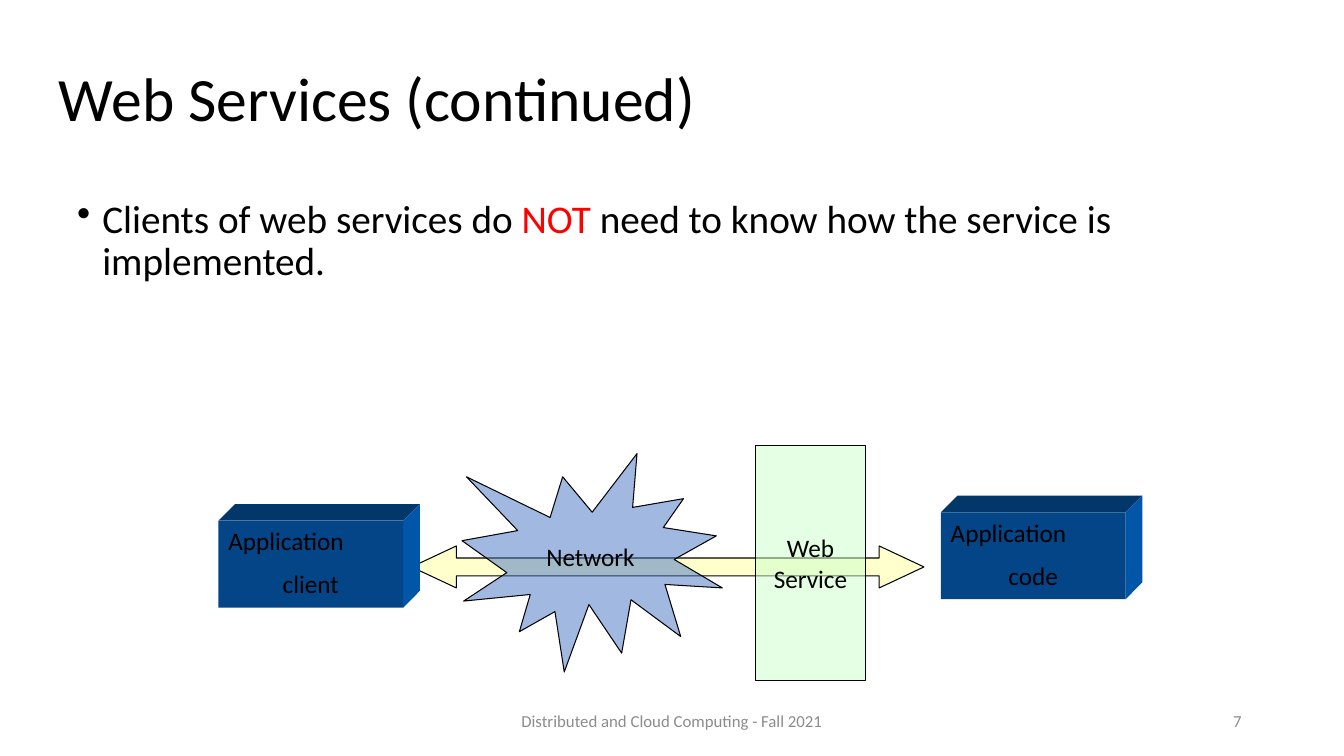
from lxml import etree
from pptx import Presentation
from pptx import util as u
from pptx.dml.color import RGBColor
from pptx.enum import shapes, text
from pptx.oxml.ns import qn

FONT = "Calibri"
BLACK = RGBColor(0x00, 0x00, 0x00)
RED = RGBColor(0xFF, 0x00, 0x00)
GREY = RGBColor(0x8C, 0x8C, 0x8C)
WHITE = RGBColor(0xFF, 0xFF, 0xFF)
CREAM = RGBColor(0xFF, 0xFF, 0xCC)
MINT = RGBColor(0xCC, 0xFF, 0xCC)
NETWORK_BLUE = RGBColor(0x44, 0x72, 0xC4)
FRONT_BLUE = RGBColor(0x04, 0x45, 0x87)
TOP_BLUE = RGBColor(0x03, 0x36, 0x69)
SIDE_BLUE = RGBColor(0x02, 0x56, 0xA8)

LEFT, CENTER, RIGHT = (text.PP_ALIGN.LEFT, text.PP_ALIGN.CENTER,
                       text.PP_ALIGN.RIGHT)
TOP, MIDDLE = text.MSO_ANCHOR.TOP, text.MSO_ANCHOR.MIDDLE
SHAPE = shapes.MSO_SHAPE


def points(box):
    return [u.Pt(length) for length in box]


def write(shape, content, size, color=BLACK, align=LEFT, anchor=TOP, wrap=True):
    frame = shape.text_frame
    frame.text = content
    frame.word_wrap = wrap
    frame.vertical_anchor = anchor
    for para in frame.paragraphs:
        para.alignment = align
        para.font.name = FONT
        para.font.size = u.Pt(size)
        para.font.color.rgb = color
    return frame


def add_label(page, box, content, size, **style):
    return write(page.shapes.add_textbox(*points(box)), content, size, **style)


def paint(shape, color, outlined=False, opacity=100):
    shape.shadow.inherit = False
    shape.fill.solid()
    shape.fill.fore_color.rgb = color
    if opacity < 100:
        tint = shape._element.spPr.find(qn("a:solidFill"))[0]
        etree.SubElement(tint, qn("a:alpha"), val=str(opacity * 1000))
    if outlined:
        shape.line.color.rgb = BLACK
        shape.line.width = u.Pt(0.75)
    else:
        shape.line.fill.background()
    return shape


def add_figure(page, kind, box, color, **style):
    return paint(page.shapes.add_shape(kind, *points(box)), color, **style)


def add_face(page, corners, color):
    start, *others = [points(corner) for corner in corners]
    builder = page.shapes.build_freeform(*start)
    builder.add_line_segments(others, close=True)
    paint(builder.convert_to_shape(), color)


def add_title(page, box):
    frame = add_label(page, box, "Web Services (continued)", 44, anchor=MIDDLE)
    frame.paragraphs[0].line_spacing = 0.9


def add_statement(page, box):
    frame = add_label(page, box, "", 28)
    para = frame.paragraphs[0]
    properties = para._p.get_or_add_pPr()
    properties.set("marL", str(u.Pt(18)))
    properties.set("indent", str(u.Pt(-18)))
    bullet = etree.Element(qn("a:buChar"), char="•")
    properties.insert(0, bullet)
    para.line_spacing = 0.9
    for words, color in (("Clients of web services do ", BLACK), ("NOT", RED),
                         (" need to know how the service is implemented.", BLACK)):
        span = para.add_run()
        span.text = words
        span.font.name = FONT
        span.font.size = u.Pt(28)
        span.font.color.rgb = color


def add_application(page, box, role):
    """Draw a solid block whose front fills the box."""
    left, top, width, height = box
    depth = 12
    right, bottom = left + width, top + height
    back_corner = (right + depth, top - depth)
    add_face(page, [(left, top), (left + depth, top - depth), back_corner,
                    (right, top)], TOP_BLUE)
    add_face(page, [(right, top), back_corner, (right + depth, bottom - depth),
                    (right, bottom)], SIDE_BLUE)
    front = add_figure(page, SHAPE.RECTANGLE, box, FRONT_BLUE)
    frame = write(front, f"Application\n{role}", 18)
    frame.paragraphs[1].alignment = CENTER
    frame.paragraphs[1].space_before = u.Pt(9)


def add_diagram(page, box):
    left, top, width, height = box
    arrow = add_figure(page, SHAPE.LEFT_RIGHT_ARROW,
                       (left + 138, top + 72, 366, 30), CREAM, outlined=True)
    arrow.adjustments[0], arrow.adjustments[1] = 0.425, 1.067
    add_application(page, (left, top + 54, 132, 62), "client")
    add_application(page, (left + width - 144, top + 48, 132, 62), "code")
    network = add_figure(page, SHAPE.EXPLOSION1, (left + 174, top + 6, 186, 156),
                         NETWORK_BLUE, outlined=True, opacity=50)
    write(network, "Network", 18, align=CENTER, anchor=MIDDLE, wrap=False)
    service = add_figure(page, SHAPE.RECTANGLE, (left + 384, top, 78, height),
                         MINT, outlined=True, opacity=50)
    write(service, "Web\nService", 18, align=CENTER, anchor=MIDDLE, wrap=False)


def add_footer(page, box):
    left, top, width, height = box
    style = {"color": GREY, "anchor": MIDDLE}
    add_label(page, (left, top, 324, height),
              "Distributed and Cloud Computing - Fall 2021", 12,
              align=CENTER, **style)
    add_label(page, (left + width - 216, top, 216, height), "7", 12,
              align=RIGHT, **style)


def main():
    deck = Presentation()
    deck.slide_width, deck.slide_height = points((960, 540))
    page = deck.slides.add_slide(deck.slide_layouts[6])
    page.background.fill.solid()
    page.background.fill.fore_color.rgb = WHITE
    add_title(page, (35, 20, 828, 104.5))
    add_statement(page, (48, 139, 775.5, 86.5))
    add_diagram(page, (156, 318, 660, 168))
    add_footer(page, (318, 500.5, 576, 29))
    deck.save("out.pptx")


if __name__ == "__main__":
    main()
